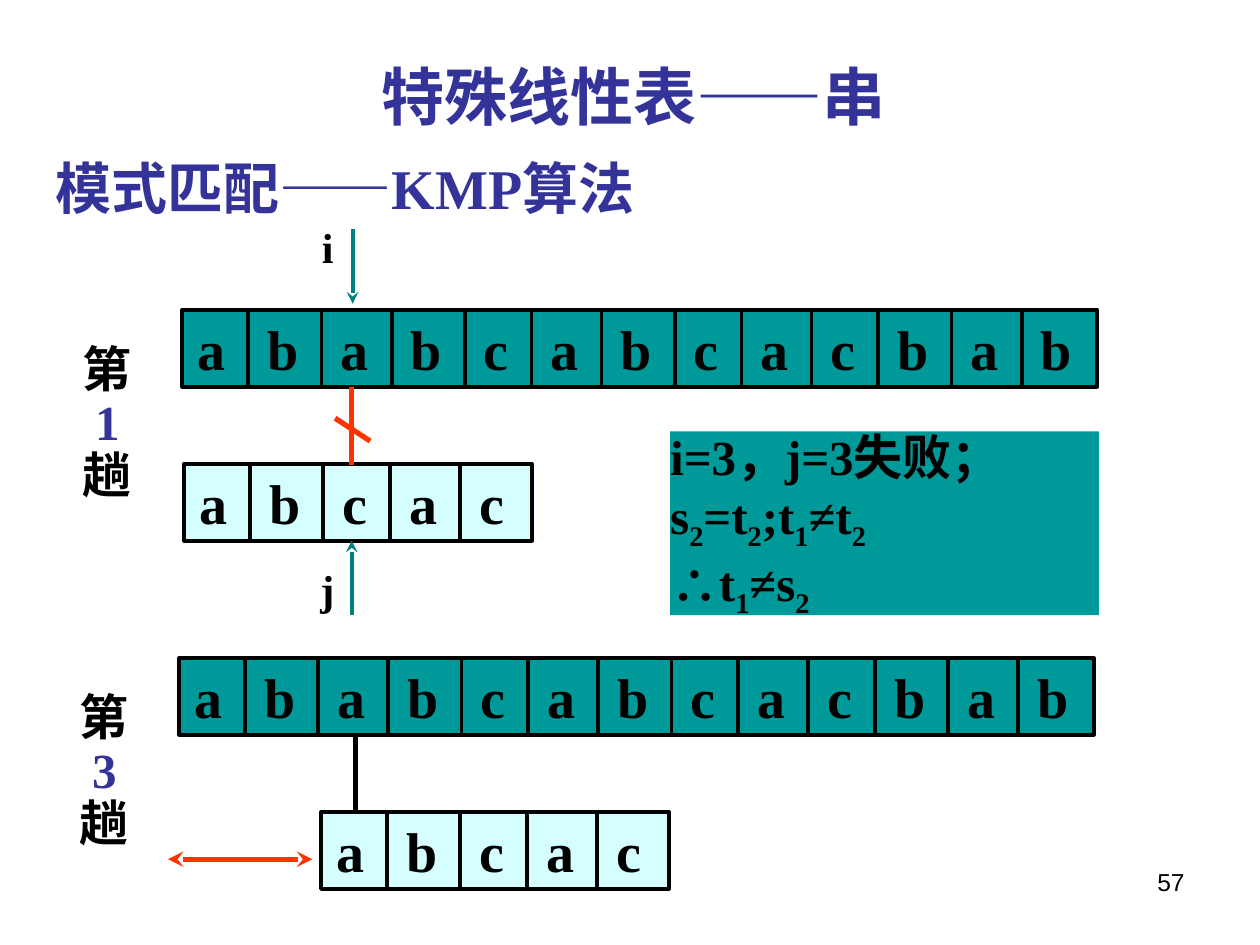
from itertools import accumulate

from lxml.etree import SubElement
from pptx import Presentation
from pptx.dml.color import RGBColor
from pptx.enum.shapes import MSO_CONNECTOR as Connector, MSO_SHAPE as Shape
from pptx.enum.text import MSO_ANCHOR as Anchor, MSO_AUTO_SIZE as AutoSize, PP_ALIGN as Align
from pptx.oxml import parse_xml
from pptx.oxml.ns import nsdecls, qn
from pptx.util import Pt

COLORS = {
    "ink": "000000", "heading": "333399", "text_cells": "009999",
    "pattern_cells": "D5FFFF", "pointer": "008080", "accent": "FF3300",
    "shadow": "808080",
}
SERIF = "Times New Roman"
LETTER_WIDTHS = {"a": 16, "b": 17.8, "c": 14.2}  # at 32 pt bold
LETTER_GAP = 24
CELL_INSET = 8.64
MAIN_STRING = "ababcabcacbab"
PATTERN = "abcac"


def rgb(name):
    return RGBColor.from_string(COLORS[name])


def format_runs(paragraph, size, color="ink", name=SERIF, bold=True):
    for run in paragraph.runs:
        font = run.font
        font.size, font.name, font.bold = Pt(size), name, bold
        font.color.rgb = rgb(color)


def prepare_frame(shape, insets, anchor=Anchor.TOP, wrap=True):
    frame = shape.text_frame
    frame.auto_size = AutoSize.NONE
    frame.word_wrap = wrap
    frame.vertical_anchor = anchor
    (frame.margin_left, frame.margin_top,
     frame.margin_right, frame.margin_bottom) = map(Pt, insets)
    return frame


def place(shape, box):
    shape.left, shape.top, shape.width, shape.height = map(Pt, box)


def add_line(slide, start, end, color="ink", width=2.25, arrows=()):
    line = slide.shapes.add_connector(Connector.STRAIGHT, *map(Pt, (*start, *end)))
    line.line.color.rgb = rgb(color)
    line.line.width = Pt(width)
    outline = line.line._get_or_add_ln()
    for arrow in arrows:
        SubElement(outline, qn("a:" + arrow), type="stealth")
    SubElement(line._element.spPr, qn("a:effectLst"))


def add_panel(slide, box, fill):
    panel = slide.shapes.add_shape(Shape.RECTANGLE, *map(Pt, box))
    panel.shadow.inherit = False
    panel.fill.solid()
    panel.fill.fore_color.rgb = rgb(fill)
    panel.line.fill.background()
    return panel


def add_text(slide, box, text, size, name=SERIF, bold=True,
             align=Align.LEFT, insets=(7.2, 3.6, 7.2, 3.6)):
    frame = prepare_frame(slide.shapes.add_textbox(*map(Pt, box)), insets)
    frame.text = text
    for paragraph in frame.paragraphs:
        paragraph.alignment = align
        format_runs(paragraph, size, name=name, bold=bold)
    return frame


def fill_heading(placeholder, box, text, size):
    place(placeholder, box)
    frame = prepare_frame(placeholder, (7.2, 3.6, 7.2, 3.6))
    frame.text = text
    paragraph = frame.paragraphs[0]
    paragraph.alignment = Align.LEFT
    paragraph.space_before = Pt(0)
    properties = paragraph._p.get_or_add_pPr()
    properties.set("marL", "0")
    properties.set("indent", "0")
    SubElement(properties, qn("a:buNone"))
    format_runs(paragraph, size, "heading")
    return paragraph


def add_text_shadow(paragraph):
    effect = parse_xml(
        f'<a:effectLst {nsdecls("a")}><a:outerShdw dist="25400" dir="2700000">'
        f'<a:srgbClr val="{COLORS["shadow"]}"/></a:outerShdw></a:effectLst>')
    properties = paragraph.runs[0].font._element
    properties.find(qn("a:solidFill")).addnext(effect)


def add_string_row(slide, box, letters, fill):
    """Row of letter cells; dividers fall in the gaps between the letters."""
    left, top, width, height = box
    row = add_panel(slide, box, fill)
    row.line.color.rgb = rgb("ink")
    row.line.width = Pt(2.25)
    frame = prepare_frame(row, (CELL_INSET, 0, 0, 0), Anchor.MIDDLE, wrap=True)
    frame.text = "\t".join(letters)
    paragraph = frame.paragraphs[0]
    paragraph.alignment = Align.LEFT
    stops = list(accumulate(LETTER_WIDTHS[letter] + LETTER_GAP for letter in letters[:-1]))
    tabs = SubElement(paragraph._p.get_or_add_pPr(), qn("a:tabLst"))
    for stop in stops:
        SubElement(tabs, qn("a:tab"), pos=str(Pt(stop)), algn="l")
    format_runs(paragraph, 32)
    for stop in stops:
        x = left + CELL_INSET + stop - LETTER_GAP / 2 + 1
        add_line(slide, (x, top), (x, top + height))


def add_pass_label(slide, box, number):
    frame = add_text(slide, box, f"第\n{number}\n趟", 28)
    for paragraph in frame.paragraphs:
        paragraph.line_spacing = 0.9
    middle = frame.paragraphs[1]
    middle._p.get_or_add_pPr().set("marL", str(Pt(7)))
    format_runs(middle, 28, "heading")


def add_pass(slide, box, number, pattern_offset):
    """Label, main string and the pattern shifted below it."""
    left, top, width, height = box
    add_pass_label(slide, (left, top + 16.5, 51, 98), number)
    add_string_row(slide, (left + 64, top, width - 64, 44), MAIN_STRING, "text_cells")
    add_string_row(slide, (left + 64 + pattern_offset, top + height - 44, 198.7, 44),
                   PATTERN, "pattern_cells")


def add_pointer(slide, box, name, downwards):
    left, top, width, height = box
    ends = [(left + width, top), (left + width, top + height)]
    start, end = ends if downwards else reversed(ends)
    add_line(slide, start, end, "pointer", arrows=["tailEnd"])
    label_top = top - 8 if downwards else top + 9.5
    add_text(slide, (left, label_top, 18, 36), name, 24, insets=(0, 3.6, 0, 3.6))


def add_conclusion(slide, box):
    panel = add_panel(slide, box, "text_cells")
    frame = prepare_frame(panel, (0, 0, 0, 0), Anchor.MIDDLE)
    lines = ["i=3，j=3失败； s_2_=t_2_;t_1_≠t_2", "∴t_1_≠s_2"]
    frame.text = "\n".join([""] * len(lines))
    for paragraph, line in zip(frame.paragraphs, lines):
        paragraph.alignment = Align.LEFT
        for index, part in enumerate(line.split("_")):
            run = paragraph.add_run()
            run.text = part
            if index % 2:  # odd parts are subscripts
                run.font._element.set("baseline", "-25000")
        format_runs(paragraph, 28)


def build_slide(presentation):
    slide = presentation.slides.add_slide(presentation.slide_layouts[1])

    # Headings
    title, body = slide.placeholders[0], slide.placeholders[1]
    add_text_shadow(fill_heading(title, (211, 29, 343.5, 50.5), "特殊线性表——串", 36))
    fill_heading(body, (24.5, 84, 588, 46), "模式匹配——KMP算法", 32)

    # First pass with the mismatch
    add_conclusion(slide, (383, 246.5, 245, 105))
    add_pass(slide, (40.3, 177, 586.7, 132), 1, 1)
    add_line(slide, (201, 221), (201, 265.5), "accent", 3)
    add_line(slide, (191.5, 239), (211.5, 252), "accent", 3)
    add_pointer(slide, (184, 131, 17.5, 42.5), "i", True)
    add_pointer(slide, (183, 309, 18, 42.5), "j", False)

    # Third pass with the match and the shift
    add_pass(slide, (38.5, 376, 586.5, 132), 3, 81)
    add_line(slide, (203, 420), (203, 464), width=3)
    add_line(slide, (96, 491), (178.5, 491), "accent", 3, ["headEnd", "tailEnd"])

    # Page number
    add_text(slide, (516, 492, 168, 37.5), "57", 14, "Arial", False, Align.RIGHT)


def main():
    presentation = Presentation()
    presentation.slide_width, presentation.slide_height = Pt(720), Pt(540)
    build_slide(presentation)
    presentation.save("out.pptx")


if __name__ == "__main__":
    main()
